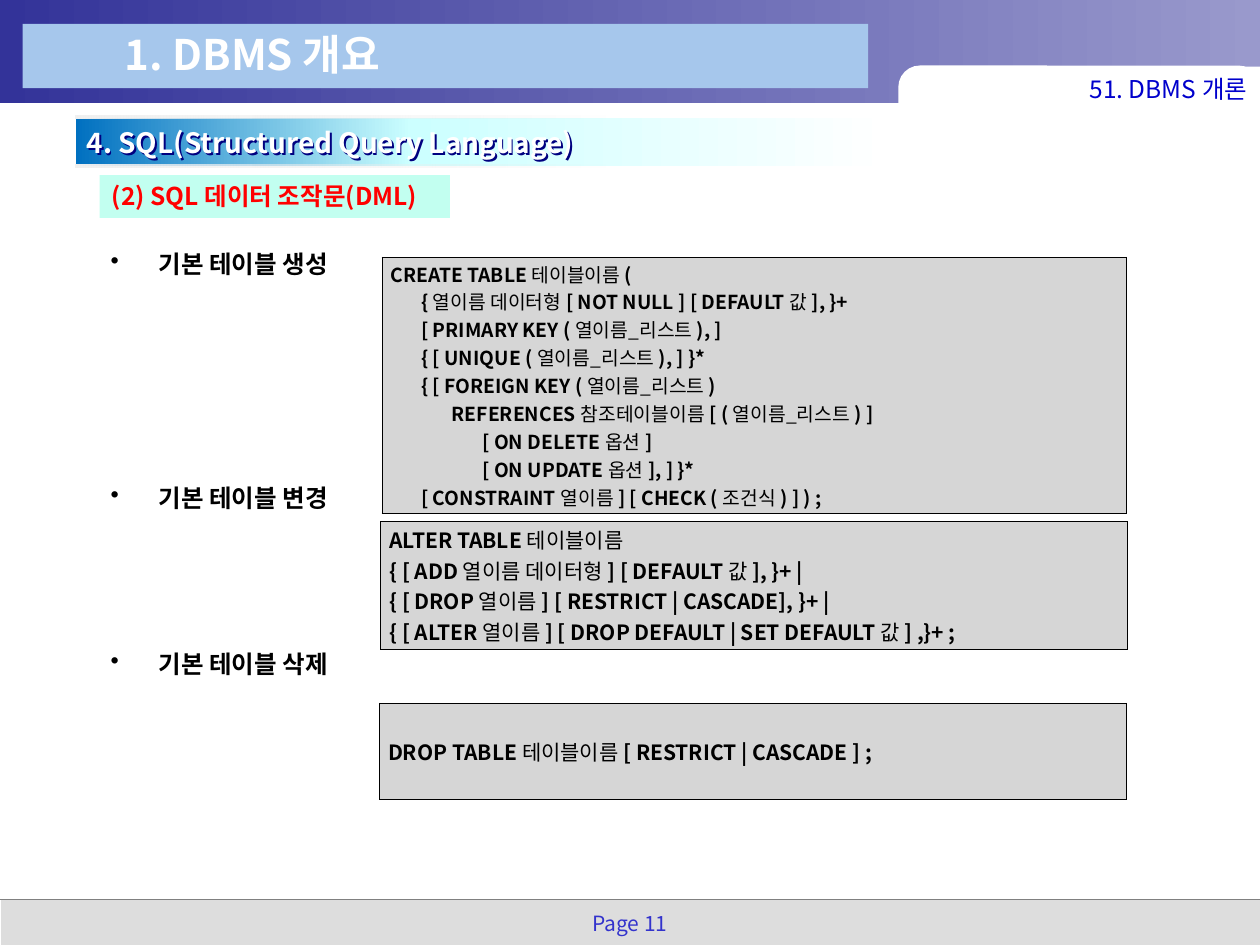
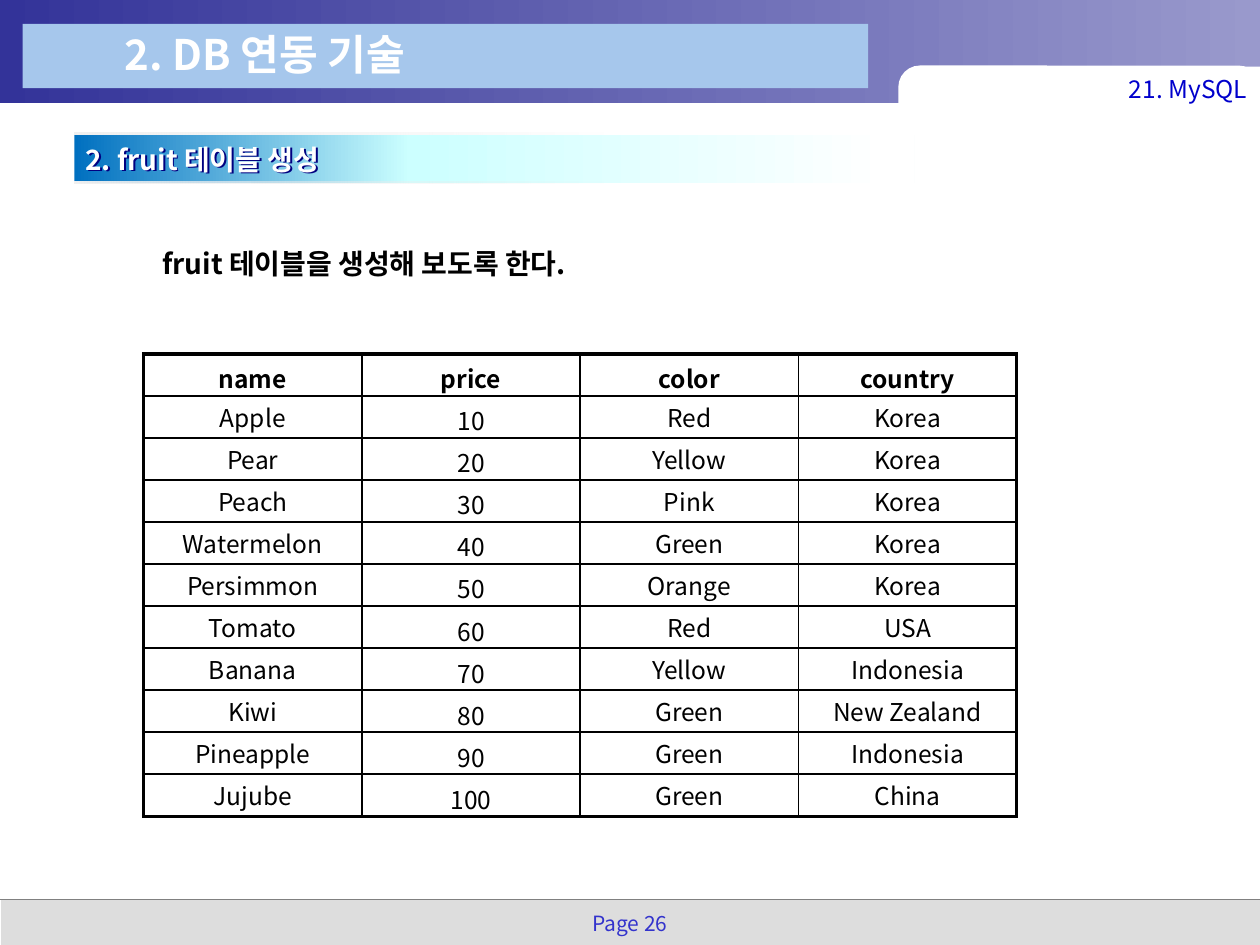
"""Build two database lecture slides that share one banner, heading and footer design."""
from dataclasses import dataclass

from lxml.etree import SubElement
from pptx import Presentation
from pptx.dml.color import RGBColor
from pptx.enum.shapes import MSO_CONNECTOR, MSO_SHAPE
from pptx.enum.text import MSO_ANCHOR as Anchor, PP_ALIGN as Align
from pptx.oxml.ns import qn
from pptx.util import Inches, Pt


@dataclass(frozen=True)
class Theme:
    font: str = "Noto Sans CJK KR"
    black: str = "000000"
    white: str = "FFFFFF"
    banner: tuple = ((0, "333399", 100), (100, "9999CC", 100))
    heading: tuple = ((0, "0070C0", 100), (40, "CCFFFF", 100), (97, "FFFFFF", 100))
    hairline: tuple = ((0, "F0F0F0", 100), (100, "EAEAEA", 0))
    title_panel: str = "A6C7EC"
    footer_band: str = "DDDDDD"
    footer_rule: str = "808080"
    page: str = "3333CC"
    chapter: str = "0000CC"
    heading_shadow: str = "000080"
    topic: str = "FF0000"
    topic_panel: str = "C2FFF0"
    code_panel: str = "D6D6D6"
    title_size: float = 24
    heading_size: float = 16
    body_size: float = 14
    small_size: float = 12
    dense_size: float = 11
    thick: float = 2.25
    thin: float = 1
    hair: float = 0.28


THEME = Theme()

DML = dict(title="1. DBMS 개요", chapter="51. DBMS 개론", page="Page 11",
           heading="4. SQL(Structured Query Language)", heading_at=(0.6, 0.94))
TOPIC = "(2) SQL 데이터 조작문(DML)"
STATEMENTS = [("기본 테이블 생성", 0), ("기본 테이블 변경", 116.8), ("기본 테이블 삭제", 78)]

# "~" switches between bold keywords and regular names
CODE_PANELS = [
    dict(at=(3.03, 2.04, 5.91, 2.03), size=THEME.dense_size, lines=[
        "CREATE TABLE ~테이블이름 ~(",
        "       { ~열이름 데이터형 ~[ NOT NULL ] [ DEFAULT ~값 ~], }+",
        "       [ PRIMARY KEY ( ~열이름_리스트 ~), ]",
        "       { [ UNIQUE ( ~열이름_리스트 ~), ] }*",
        "       { [ FOREIGN KEY ( ~열이름_리스트 ~)",
        "              REFERENCES ~참조테이블이름 ~[ ( ~열이름_리스트 ~) ]",
        "                     [ ON DELETE ~옵션 ~]",
        "                     [ ON UPDATE ~옵션 ~], ] }*",
        "       [ CONSTRAINT ~열이름 ~] [ CHECK ( ~조건식 ~) ] ) ;",
    ]),
    dict(at=(3.02, 4.14, 5.93, 1.01), size=THEME.small_size, lines=[
        "ALTER TABLE ~테이블이름 ",
        "{ [ ADD ~열이름 데이터형 ~] [ DEFAULT ~값 ~], }+ |",
        "{ [ DROP ~열이름 ~] [ RESTRICT | CASCADE], }+ |",
        "{ [ ALTER ~열이름 ~] [ DROP DEFAULT | SET DEFAULT ~값 ~] ,}+ ;",
    ]),
    dict(at=(3.01, 5.58, 5.93, 0.76), size=THEME.small_size, lines=[
        "DROP TABLE ~테이블이름 ~[ RESTRICT | CASCADE ] ;",
    ]),
]

FRUIT = dict(title="2. DB 연동 기술", chapter="21. MySQL", page="Page 26",
             heading="2. fruit 테이블 생성", heading_at=(0.59, 1.07))
FRUIT_INTRO = "fruit 테이블을 생성해 보도록 한다."
FRUIT_AT = (1.14, 2.81, 6.93, 3.67)
FRUIT_ROWS = [
    ("name", "price", "color", "country"),
    ("Apple", "10", "Red", "Korea"),
    ("Pear", "20", "Yellow", "Korea"),
    ("Peach", "30", "Pink", "Korea"),
    ("Watermelon", "40", "Green", "Korea"),
    ("Persimmon", "50", "Orange", "Korea"),
    ("Tomato", "60", "Red", "USA"),
    ("Banana", "70", "Yellow", "Indonesia"),
    ("Kiwi", "80", "Green", "New Zealand"),
    ("Pineapple", "90", "Green", "Indonesia"),
    ("Jujube", "100", "Green", "China"),
]


def place(at):
    return [Inches(length) for length in at]


def write(paragraph, text, *, size, color=THEME.black, bold=False, align=Align.LEFT,
          spacing=None, before=0, bullet=False):
    """Write text whose "~" marks flip the bold setting."""
    paragraph.alignment = align
    if spacing:
        paragraph.line_spacing = spacing
    if before:
        paragraph.space_before = Pt(before)
    if bullet:
        properties = paragraph._p.get_or_add_pPr()
        properties.set("marL", str(Inches(0.79)))
        properties.set("indent", str(Inches(-0.38)))
        SubElement(properties, qn("a:buChar"), char="•")
    for index, part in enumerate(text.split("~")):
        if not part:
            continue
        run = paragraph.add_run()
        run.text = part
        run.font.size = Pt(size)
        run.font.bold = bold if index % 2 == 0 else not bold
        run.font.color.rgb = RGBColor.from_string(color)
        run.font.name = THEME.font
        SubElement(run._r.get_or_add_rPr(), qn("a:ea"), typeface=THEME.font)


def add_text(slide, at, text, *, wrap=True, anchor=Anchor.TOP, inset=None, **style):
    box = slide.shapes.add_textbox(*place(at))
    frame = box.text_frame
    frame.word_wrap = wrap
    frame.vertical_anchor = anchor
    if inset is not None:
        frame.margin_left = frame.margin_right = Inches(inset)
        frame.margin_top = frame.margin_bottom = Inches(inset)
    write(frame.paragraphs[0], text, **style)
    return box


def fill_gradient(shape, stops):
    shape.fill.gradient()
    shape.fill.gradient_angle = 0
    stop_list = shape._element.spPr.find(qn("a:gradFill")).find(qn("a:gsLst"))
    for stop in list(stop_list):
        stop_list.remove(stop)
    for position, color, opacity in stops:
        stop = SubElement(stop_list, qn("a:gs"), pos=str(position * 1000))
        tone = SubElement(stop, qn("a:srgbClr"), val=color)
        if opacity < 100:
            SubElement(tone, qn("a:alpha"), val=str(opacity * 1000))


def add_panel(slide, at, fill, kind=MSO_SHAPE.RECTANGLE):
    shape = slide.shapes.add_shape(kind, *place(at))
    shape.shadow.inherit = False
    shape.line.fill.background()
    if isinstance(fill, str):
        shape.fill.solid()
        shape.fill.fore_color.rgb = RGBColor.from_string(fill)
    else:
        fill_gradient(shape, fill)
    return shape


def add_heading(slide, left, top, text):
    add_panel(slide, (left, top, 6.67, 0.38), THEME.heading)
    for edge in (top - 0.02, top + 0.37):
        add_panel(slide, (left, edge, 4.21, 0.02), THEME.hairline)
    box = add_text(slide, (left - 0.01, top + 0.01, 6.7, 0.37), text,
                   size=THEME.heading_size, color=THEME.white, bold=True)
    effects = SubElement(box._element.spPr, qn("a:effectLst"))
    shadow = SubElement(effects, qn("a:outerShdw"), dist=str(Inches(0.02)), dir="2700000",
                        algn="ctr", rotWithShape="0")
    SubElement(shadow, qn("a:srgbClr"), val=THEME.heading_shadow)


def add_base(presentation, *, title, chapter, page, heading, heading_at):
    slide = presentation.slides.add_slide(presentation.slide_layouts[6])
    add_panel(slide, (0.01, 7.14, 9.99, 0.36), THEME.footer_band)
    add_panel(slide, (0, 0, 10, 0.82), THEME.banner)
    rule = slide.shapes.add_connector(MSO_CONNECTOR.STRAIGHT, *place((0, 7.14, 10, 7.14)))
    rule.line.color.rgb = RGBColor.from_string(THEME.footer_rule)
    rule.line.width = Pt(THEME.thin)
    SubElement(rule._element.spPr, qn("a:effectLst"))
    tab = add_panel(slide, (7.13, 0.52, 2.87, 0.59), THEME.white, MSO_SHAPE.ROUNDED_RECTANGLE)
    tab.adjustments[0] = 0.29
    add_panel(slide, (9.1, 0.53, 0.9, 0.24), THEME.white)
    add_panel(slide, (0.18, 0.19, 6.71, 0.51), THEME.title_panel)
    add_text(slide, (4.55, 7.2, 0.9, 0.28), page, size=THEME.small_size,
             color=THEME.page, align=Align.CENTER, spacing=0.9)
    add_text(slide, (0.89, 0.18, 4.97, 0.5), title, size=THEME.title_size,
             color=THEME.white, bold=True)
    add_text(slide, (8.11, 0.54, 1.83, 0.32), chapter, size=THEME.body_size,
             color=THEME.chapter, align=Align.RIGHT, anchor=Anchor.MIDDLE, inset=0.04)
    add_heading(slide, *heading_at, heading)
    return slide


def add_grid(slide, at, row_count, column_count):
    left, top, width, height = at
    table = slide.shapes.add_table(row_count, column_count, *place(at)).table
    table.first_row = table.horz_banding = False
    for column in table.columns:
        column.width = Inches(width / column_count)
    for row in table.rows:
        row.height = Inches(height / row_count)
    return table


def format_cell(cell, borders, margins, fill=None):
    """Set borders in the order left, right, top, bottom, then margins and fill."""
    properties = cell._tc.get_or_add_tcPr()
    for side, width in zip("LRTB", borders):
        line = SubElement(properties, qn(f"a:ln{side}"), w=str(Pt(width)))
        solid = SubElement(line, qn("a:solidFill"))
        SubElement(solid, qn("a:srgbClr"), val=THEME.black)
    side_margin, top_margin, bottom_margin = margins
    cell.margin_left = cell.margin_right = Inches(side_margin)
    cell.margin_top = Inches(top_margin)
    cell.margin_bottom = Inches(bottom_margin)
    cell.vertical_anchor = Anchor.MIDDLE
    if fill:
        cell.fill.solid()
        cell.fill.fore_color.rgb = RGBColor.from_string(fill)
    else:
        cell.fill.background()


def add_code_panel(slide, *, at, size, lines):
    cell = add_grid(slide, at, 1, 1).cell(0, 0)
    format_cell(cell, [THEME.hair] * 4, (0.07, 0.02, 0.02), THEME.code_panel)
    frame = cell.text_frame
    for index, line in enumerate(lines):
        paragraph = frame.add_paragraph() if index else frame.paragraphs[0]
        write(paragraph, line, size=size, bold=True, align=Align.JUSTIFY)


def add_fruit_table(slide):
    last_row, last_column = len(FRUIT_ROWS) - 1, len(FRUIT_ROWS[0]) - 1
    table = add_grid(slide, FRUIT_AT, last_row + 1, last_column + 1)
    for row, values in enumerate(FRUIT_ROWS):
        for column, value in enumerate(values):
            cell = table.cell(row, column)
            outer = (column == 0, column == last_column, row == 0, row == last_row)
            borders = [THEME.thick if edge else THEME.thin for edge in outer]
            lowered = row == 0 or column == 1
            format_cell(cell, borders, (0.1, 0.05, 0) if lowered else (0.07, 0.02, 0.02))
            write(cell.text_frame.paragraphs[0], value, size=THEME.body_size,
                  bold=row == 0, align=Align.CENTER)


def build_dml_slide(presentation):
    slide = add_base(presentation, **DML)
    statements = slide.shapes.add_textbox(*place((0.37, 1.93, 8.89, 4.58))).text_frame
    statements.word_wrap = True
    for index, (name, gap) in enumerate(STATEMENTS):
        paragraph = statements.add_paragraph() if index else statements.paragraphs[0]
        write(paragraph, name, size=THEME.body_size, bold=True, before=gap, bullet=True)
    for panel in CODE_PANELS:
        add_code_panel(slide, **panel)
    topic = add_panel(slide, (0.79, 1.39, 2.78, 0.34), THEME.topic_panel).text_frame
    topic.word_wrap = False
    topic.vertical_anchor = Anchor.TOP
    write(topic.paragraphs[0], TOPIC, size=THEME.body_size, color=THEME.topic, bold=True)


def build_fruit_slide(presentation):
    slide = add_base(presentation, **FRUIT)
    add_fruit_table(slide)
    add_text(slide, (1.19, 1.91, 3.81, 0.37), FRUIT_INTRO, wrap=False,
             size=THEME.heading_size, bold=True)


def main():
    presentation = Presentation()
    presentation.slide_width, presentation.slide_height = Inches(10), Inches(7.5)
    build_dml_slide(presentation)
    build_fruit_slide(presentation)
    presentation.save("out.pptx")


if __name__ == "__main__":
    main()
